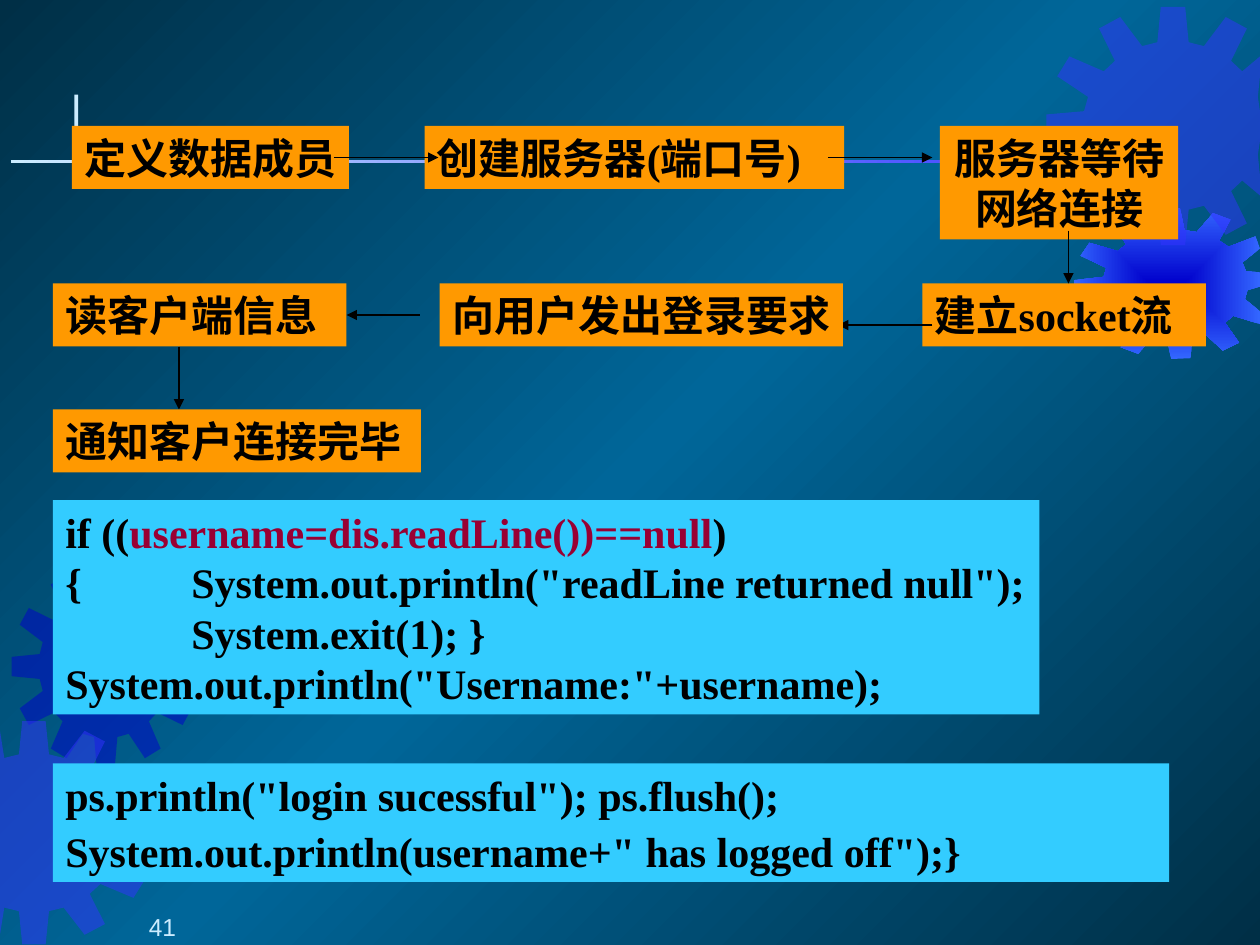
from math import cos, radians, sin

from lxml import etree
from pptx import Presentation
from pptx.dml.color import RGBColor
from pptx.enum.shapes import MSO_CONNECTOR, MSO_SHAPE
from pptx.enum.text import MSO_ANCHOR, MSO_AUTO_SIZE, PP_ALIGN
from pptx.oxml.ns import qn
from pptx.util import Inches, Pt

RECTANGLE = MSO_SHAPE.RECTANGLE
STRAIGHT = MSO_CONNECTOR.STRAIGHT
LEFT, CENTER = PP_ALIGN.LEFT, PP_ALIGN.CENTER
RIGHT_SIDE = 3
SLIDE_WIDTH, SLIDE_HEIGHT = 10, 7.5
COLORS = {
    "edge": "002F46", "middle": "006699", "navy": "0000CC", "violet": "3333FF",
    "blue": "3366FF", "pale": "CCECFF", "step": "FF9900", "code": "33CCFF",
    "ink": "000000", "highlight": "990033",
}
BODY_FONT = {"name": "Times New Roman", "size": Pt(24), "bold": True}
NUMBER_FONT = {"name": "Arial", "size": Pt(14), "bold": False}
PANEL_FRAME = {
    "margin_left": Inches(0.1), "margin_right": Inches(0.1),
    "margin_top": Inches(0.05), "margin_bottom": Inches(0.05),
    "vertical_anchor": MSO_ANCHOR.TOP, "auto_size": MSO_AUTO_SIZE.SHAPE_TO_FIT_TEXT,
}
NUMBER_FRAME = {
    "margin_top": 0, "margin_bottom": 0, "word_wrap": True,
    "vertical_anchor": MSO_ANCHOR.BOTTOM,
}


def rgb(name):
    """Return the named palette colour."""
    return RGBColor.from_string(COLORS[name])


def apply(target, values):
    """Set each format value on the target."""
    for key, value in values.items():
        setattr(target, key, value)


def paint_gradient(fill, holder, stops, angle=None):
    """Fill with a linear gradient, or one spreading from the centre without an angle."""
    fill.gradient()
    gradient = holder.find(".//" + qn("a:gradFill"))
    for child in list(gradient):
        gradient.remove(child)
    stop_list = etree.SubElement(gradient, qn("a:gsLst"))
    for percent, name in stops:
        stop = etree.SubElement(stop_list, qn("a:gs"), pos=str(percent * 1000))
        etree.SubElement(stop, qn("a:srgbClr"), val=COLORS[name])
    if angle is not None:
        etree.SubElement(gradient, qn("a:lin"), ang=str(angle * 60000), scaled="0")
    else:
        spread = etree.SubElement(gradient, qn("a:path"), path="rect")
        centre = dict.fromkeys("ltrb", "50000")
        etree.SubElement(spread, qn("a:fillToRect"), **centre)


def paint_solid(shape, name, alpha=None):
    """Fill a shape with one colour, see-through if an alpha percentage is given."""
    shape.fill.solid()
    shape.fill.fore_color.rgb = rgb(name)
    if alpha:
        color = shape._element.spPr.find(".//" + qn("a:srgbClr"))
        etree.SubElement(color, qn("a:alpha"), val=str(alpha * 1000))


def strip(shape):
    """Remove outline and shadow."""
    shape.line.fill.background()
    shape.shadow.inherit = False
    return shape


def add_gear(slide, x, y, radius_x, radius_y, turn=0):
    """Draw a twelve-toothed gear around a centre, cut off at the slide edges."""
    points = []
    for tooth in range(12):
        for offset, reach in ((-10, 0.71), (-5.5, 1), (5.5, 1), (10, 0.71)):
            angle = radians(tooth * 30 + offset + turn)
            across = x + radius_x * reach * sin(angle)
            down = y - radius_y * reach * cos(angle)
            points.append((Inches(min(max(across, 0), SLIDE_WIDTH)), Inches(down)))
    builder = slide.shapes.build_freeform(*points[0])
    builder.add_line_segments(points[1:], close=True)
    return strip(builder.convert_to_shape())


def add_block(slide, left, top, width, height):
    """Add a plain rectangle without outline or shadow."""
    box = map(Inches, (left, top, width, height))
    return strip(slide.shapes.add_shape(RECTANGLE, *box))


def write_lines(frame, lines, font, align=LEFT, space=0):
    """Write paragraphs of text and colour pairs, with a tab stop at one inch."""
    for index, runs in enumerate(lines):
        paragraph = frame.paragraphs[0] if index == 0 else frame.add_paragraph()
        apply(paragraph, {"alignment": align, "space_before": Pt(space)})
        tabs = etree.SubElement(paragraph._p.get_or_add_pPr(), qn("a:tabLst"))
        etree.SubElement(tabs, qn("a:tab"), pos=str(Inches(1)), algn="l")
        for text, color in runs:
            run = paragraph.add_run()
            run.text = text
            apply(run.font, font)
            run.font.color.rgb = rgb(color)


def add_panel(slide, box, lines, color, wrap=False, align=LEFT, space=0):
    """Add a coloured rectangle holding bold text."""
    panel = add_block(slide, *box)
    paint_solid(panel, color)
    apply(panel.text_frame, {**PANEL_FRAME, "word_wrap": wrap})
    write_lines(panel.text_frame, lines, BODY_FONT, align, space)
    return panel


def add_arrow(slide, start_x, start_y, end_x, end_y):
    """Draw a thin black arrow."""
    ends = map(Inches, (start_x, start_y, end_x, end_y))
    arrow = slide.shapes.add_connector(STRAIGHT, *ends)
    arrow.line.width = Pt(0.75)
    arrow.line.color.rgb = rgb("ink")
    etree.SubElement(arrow.line._get_or_add_ln(), qn("a:tailEnd"), type="triangle")
    etree.SubElement(arrow._element.spPr, qn("a:effectLst"))
    return arrow


def build_backdrop(slide):
    """Paint the background, the gears and the title rules."""
    paint_gradient(slide.background.fill, slide._element,
                   ((0, "edge"), (50, "middle"), (100, "edge")), 225)
    paint_solid(add_gear(slide, 0.84, 5.29, 0.75, 0.8), "navy", 50)
    paint_solid(add_gear(slide, 0.27, 6.61, 0.97, 0.89), "violet", 50)
    hub = add_gear(slide, 9.33, 2.25, 0.81, 0.6, -3)
    paint_gradient(hub.fill, hub._element, ((0, "navy"), (100, "blue")))
    paint_solid(add_gear(slide, 9.31, 1, 1.01, 0.95), "violet", 50)
    paint_solid(add_block(slide, 0.59, 0.75, 0.03, 0.75), "pale")
    rule = add_block(slide, 0.09, 1.27, 9, 0.02)
    paint_gradient(rule.fill, rule._element, ((0, "violet"), (100, "pale")), 180)


def build_flow(slide, left, top):
    """Draw the server steps in three rows with their arrows."""
    row_2, row_3 = top + 1.25, top + 2.25

    def add_step(x, y, width, *lines, height=0.5, **layout):
        """Add one step at an offset from the left of the flow."""
        texts = [[(line, "ink")] for line in lines]
        return add_panel(slide, (left + x, y, width, height), texts, "step", **layout)

    read_info = add_step(0, row_2, 2.33, "读客户端信息", wrap=True)
    add_step(2.95, top, 3.33, "创建服务器(端口号)")
    add_step(0.15, top, 2.2, "定义数据成员")
    add_step(7.04, top, 1.89, "服务器等待", "网络连接", height=0.9, align=CENTER)
    add_step(6.9, row_2, 2.25, "建立socket流")
    for start_x, start_y, end_x, end_y in (
        (2.23, 0.25, 3.06, 0.25), (6.15, 0.25, 6.98, 0.25),
        (8.06, 0.83, 8.06, 1.25), (6.98, 1.58, 6.23, 1.58),
        (1, 1.75, 1, 2.25),
    ):
        add_arrow(slide, left + start_x, top + start_y, left + end_x, top + end_y)
    add_step(3.07, row_2, 3.2, "向用户发出登录要求")
    to_reading = add_arrow(slide, left + 2.91, row_2 + 0.25, left + 2.33, row_2 + 0.25)
    to_reading.end_connect(read_info, RIGHT_SIDE)
    add_step(0, row_3, 2.92, "通知客户连接完毕", wrap=True)


def build_code(slide, left, top):
    """Place the two code panels, one below the other."""
    login_check = [
        [("if ((", "ink"), ("username=dis.readLine())==null", "highlight"), (")", "ink")],
        [('{\tSystem.out.println("readLine returned null");', "ink")],
        [("\tSystem.exit(1); }", "ink")],
        [('System.out.println("Username:"+username);', "ink")],
    ]
    login_reply = [
        [('ps.println("login sucessful"); ps.flush();', "ink")],
        [('System.out.println(username+" has logged off");}', "ink")],
    ]
    add_panel(slide, (left, top, 7.83, 1.7), login_check, "code")
    add_panel(slide, (left, top + 2.09, 8.86, 0.94), login_reply, "code", wrap=True, space=3)


def build_number(slide, left, top):
    """Write the slide number."""
    box = map(Inches, (left, top, 2.08, 0.42))
    frame = slide.shapes.add_textbox(*box).text_frame
    apply(frame, NUMBER_FRAME)
    write_lines(frame, [[("41", "pale")]], NUMBER_FONT, CENTER)
    frame.paragraphs[0]._p.get_or_add_pPr().set("marL", str(Inches(0.5)))


def main():
    """Build and save the slide."""
    deck = Presentation()
    apply(deck, {"slide_width": Inches(SLIDE_WIDTH), "slide_height": Inches(SLIDE_HEIGHT)})
    slide = deck.slides.add_slide(deck.slide_layouts[6])
    build_backdrop(slide)
    build_flow(slide, 0.42, 1)
    build_code(slide, 0.42, 3.97)
    build_number(slide, 0, 7.05)
    deck.save("out.pptx")


if __name__ == "__main__":
    main()
